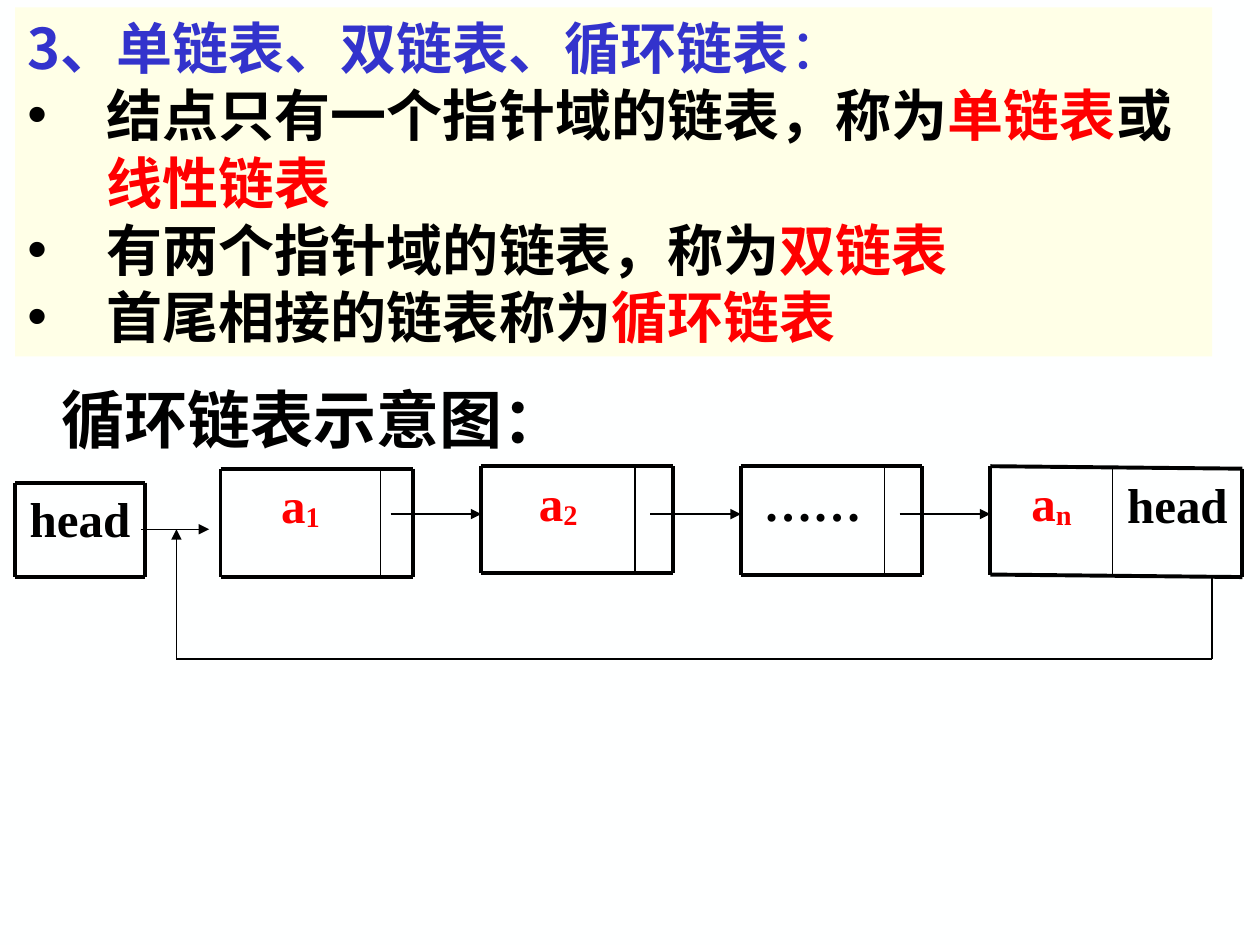
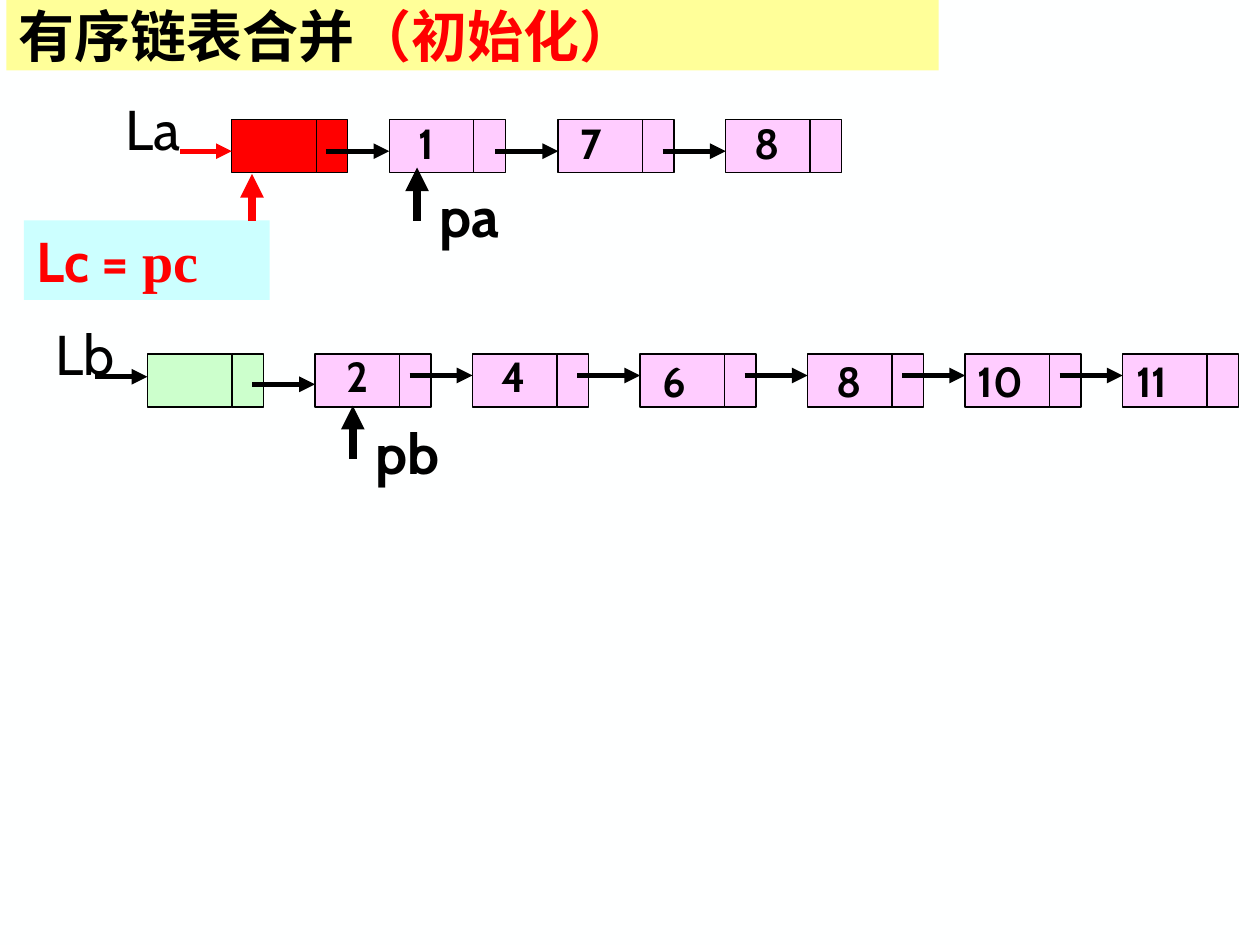
from lxml import etree
from pptx import Presentation
from pptx.dml.color import RGBColor
from pptx.enum.shapes import MSO_CONNECTOR, MSO_SHAPE
from pptx.enum.text import MSO_ANCHOR, PP_ALIGN
from pptx.oxml.ns import qn
from pptx.util import Inches, Pt

RECT, STRAIGHT = MSO_SHAPE.RECTANGLE, MSO_CONNECTOR.STRAIGHT
TOP, MIDDLE = MSO_ANCHOR.TOP, MSO_ANCHOR.MIDDLE
LEFT, CENTER = PP_ALIGN.LEFT, PP_ALIGN.CENTER


class Theme:
    paper, ink, red, blue = "FEFFFF", "000000", "FF0000", "3333CC"
    cream, yellow, cyan = "FFFFE7", "FFFF99", "CCFFFF"
    pink, green = "FFCCFF", "CCFFCC"
    cjk, serif, sans = "Noto Sans CJK SC", "Times New Roman", "Cabin"
    caption, body, cell, number = 36, 32, 28, 24
    hair, thin, frame, arrow, pointer = 0.75, 1, 2.25, 3, 4.5
    leading = 1.2


T = Theme

# A run is (text, colour) or (text, colour, changes).
DEFINITIONS = [
    [("3、单链表、双链表、循环链表", T.blue), ("：", T.blue, {"bold": False})],
    [("结点只有一个指针域的链表，称为", T.ink), ("单链表", T.red),
     ("或", T.ink), ("线性链表", T.red)],
    [("有两个指针域的链表，称为", T.ink), ("双链表", T.red)],
    [("首尾相接的链表称为", T.ink), ("循环链表", T.red)],
]
CAPTION = [("循环链表示意图：", T.ink)]
HEAD = [("head", T.ink)]


def element(index):
    return [("a", T.red), (index, T.red, {"subscript": True})]


# left, divider, right, top, bottom, drop of the right end, text
RING = [
    (0.12, None, 1.15, 3.83, 4.58, 0, HEAD),
    (1.75, 3.02, 3.28, 3.72, 4.58, 0, element("1")),
    (3.82, 5.04, 5.34, 3.70, 4.55, 0, element("2")),
    (5.88, 7.02, 7.32, 3.70, 4.56, 0, [("……", T.ink)]),
    (7.86, 8.83, 9.86, 3.70, 4.56, 0.02, element("n")),
]
LAST_HEAD_BOX = (8.83, 3.72, 1.03, 0.75)
RING_ARROW_Y, RING_ARROW_LENGTH = 4.08, 0.72
HEAD_ARROW = [(1.12, 4.2), (1.66, 4.2)]
RETURN_PATH = [(9.62, 4.58), (9.62, 5.23), (1.4, 5.23), (1.4, 4.2)]

MERGE_TITLE = [("有序链表合并", T.ink), ("（初始化）", T.red, {"font": T.serif})]
RESULT = [("Lc = ", T.red), ("pc", T.red, {"font": T.serif})]
DATA_W, LINK_W, NODE_H, LINK_LENGTH = 0.67, 0.25, 0.42, 0.5
# nodes are (left, number, offset of the number's box, its drop)
LISTS = [
    {"top": 0.95, "fill": T.red, "head": 1.84, "link_y": [1.2] * 3,
     "name": ("La", (0.9, 0.7, 0.65, 0.63)),
     "entry": (1.43, 1.84, 1.2, T.red),
     "nodes": [(3.09, "1", 0.13, -0.07), (4.43, "7", 0.08, -0.07),
               (5.76, "8", 0.13, -0.07)]},
    {"top": 2.81, "fill": T.green, "head": 1.17,
     "link_y": [3.05] + [2.98] * 5,
     "name": ("Lb", (0.34, 2.49, 0.67, 0.63)),
     "entry": (0.75, 1.17, 2.99, T.ink),
     "nodes": [(2.5, "2", 0.15, -0.08), (3.75, "4", 0.13, -0.08),
               (5.08, "6", 0.08, -0.04), (6.41, "8", 0.13, -0.04),
               (7.66, "10", 0, -0.04), (8.91, "11", 0.01, -0.04)]},
]
# name, its box, arrow x, arrow start and end
POINTERS = [
    ("pa", (3.39, 1.39, 0.75, 0.63), 3.31, 1.75, 1.33),
    ("pb", (2.88, 3.27, 0.76, 0.63), 2.8, 3.64, 3.22),
]


def rgb(color):
    return RGBColor.from_string(color)


def new_slide(prs):
    slide = prs.slides.add_slide(prs.slide_layouts[6])
    fill = slide.background.fill
    fill.solid()
    fill.fore_color.rgb = rgb(T.paper)
    return slide


def write(p, runs, size, font, bold):
    for text, color, *rest in runs:
        changes = rest[0] if rest else {}
        r = p.add_run()
        r.text = text
        f = r.font
        f.size, f.bold = Pt(size), changes.get("bold", bold)
        f.name, f.color.rgb = changes.get("font", font), rgb(color)
        rPr = r._r.get_or_add_rPr()
        etree.SubElement(rPr, qn("a:ea")).set("typeface", T.cjk)
        if changes.get("subscript"):
            rPr.set("baseline", "-8000")


def bullet(p, shown):
    """Give the paragraph a hanging indent, with a dot where shown."""
    pPr = p._p.get_or_add_pPr()
    pPr.set("marL", str(Inches(0.63)))
    pPr.set("indent", str(-Inches(0.63)))
    if shown:
        etree.SubElement(pPr, qn("a:buFont")).set("typeface", "Arial")
        etree.SubElement(pPr, qn("a:buChar")).set("char", "•")


def box(slide, at, fill=None, line=None):
    place = [Inches(v) for v in at]
    if fill is None:
        return slide.shapes.add_textbox(*place)
    sp = slide.shapes.add_shape(RECT, *place)
    sp.shadow.inherit = False
    sp.fill.solid()
    sp.fill.fore_color.rgb = rgb(fill)
    if line:
        sp.line.color.rgb = rgb(T.ink)
        sp.line.width = Pt(line)
    else:
        sp.line.fill.background()
    return sp


def text(slide, at, paragraphs, size, font, fill=None, bold=True, wrap=True,
         align=LEFT, anchor=TOP, bullets=False, fixed=False):
    tf = box(slide, at, fill).text_frame
    tf.word_wrap, tf.vertical_anchor = wrap, anchor
    for i, runs in enumerate(paragraphs):
        p = tf.add_paragraph() if i else tf.paragraphs[0]
        p.alignment = align
        if fixed:
            p.line_spacing = Pt(size * T.leading)
        if bullets:
            bullet(p, shown=i > 0)
        write(p, runs, size, font, bold)


def line(slide, start, end, width, color=T.ink, arrow=False):
    ends = [Inches(v) for v in (*start, *end)]
    c = slide.shapes.add_connector(STRAIGHT, *ends)
    c.line.color.rgb = rgb(color)
    c.line.width = Pt(width)
    if arrow:
        tail = etree.SubElement(c.line._get_or_add_ln(), qn("a:tailEnd"))
        tail.set("type", "triangle")
    etree.SubElement(c._element.spPr, qn("a:effectLst"))


def ring_node(slide, left, divider, right, top, bottom, drop, runs):
    text(slide, (left, top, (divider or right) - left, bottom - top), [runs],
         T.cell, T.serif, align=CENTER)
    for y in (top, bottom):
        line(slide, (left, y), (right, y + drop), T.frame)
    for x, shift, width in ((left, 0, T.frame), (divider, drop, T.thin),
                            (right, drop, T.frame)):
        if x:
            line(slide, (x, top + shift), (x, bottom + shift), width)


def circular_list_slide(prs):
    slide = new_slide(prs)
    for node in RING:
        ring_node(slide, *node)
    text(slide, LAST_HEAD_BOX, [HEAD], T.cell, T.serif, align=CENTER)
    line(slide, *HEAD_ARROW, T.hair, arrow=True)
    for left, *_ in RING[2:]:
        line(slide, (left - RING_ARROW_LENGTH, RING_ARROW_Y),
             (left, RING_ARROW_Y), T.hair, arrow=True)
    for start, end in zip(RETURN_PATH, RETURN_PATH[1:]):
        line(slide, start, end, T.hair, arrow=end == RETURN_PATH[-1])
    text(slide, (0.39, 2.97, 6.03, 0.7), [CAPTION], T.caption, T.cjk,
         fixed=True)
    text(slide, (0.12, 0.06, 9.5, 2.77), DEFINITIONS, T.body, T.cjk, T.cream,
         bullets=True, fixed=True)


def merge_node(slide, left, top, fill):
    box(slide, (left, top, DATA_W, NODE_H), fill, T.hair)
    box(slide, (left + DATA_W, top, LINK_W, NODE_H), fill, T.hair)


def linked_list(slide, spec):
    top, nodes = spec["top"], spec["nodes"]
    merge_node(slide, spec["head"], top, spec["fill"])
    for left, *_ in nodes:
        merge_node(slide, left, top, T.pink)
    for (left, number, shift, drop), y in zip(nodes, spec["link_y"]):
        line(slide, (left - LINK_LENGTH, y), (left, y), T.arrow, arrow=True)
        width = 0.2 + 0.21 * len(number)
        text(slide, (left + shift, top + drop, width, 0.5),
             [[(number, T.ink)]], T.number, T.sans, wrap=False)
    start, end, y, color = spec["entry"]
    line(slide, (start, y), (end, y), T.arrow, color, arrow=True)
    name, at = spec["name"]
    text(slide, at, [[(name, T.ink)]], T.body, T.sans, bold=False, wrap=False)


def merge_slide(prs):
    slide = new_slide(prs)
    text(slide, (0.05, 0, 7.4, 0.56), [MERGE_TITLE], T.body, T.cjk, T.yellow,
         anchor=MIDDLE, fixed=True)
    for spec in LISTS:
        linked_list(slide, spec)
    for name, at, x, start, end in POINTERS:
        text(slide, at, [[(name, T.ink)]], T.body, T.sans, wrap=False)
        line(slide, (x, start), (x, end), T.pointer, arrow=True)
    text(slide, (0.19, 1.75, 1.95, 0.63), [RESULT], T.body, T.sans, T.cyan)
    line(slide, (2, 1.75), (2, 1.38), T.pointer, T.red, arrow=True)


def main():
    prs = Presentation()
    prs.slide_width, prs.slide_height = Inches(10), Inches(7.5)
    circular_list_slide(prs)
    merge_slide(prs)
    prs.save("out.pptx")


if __name__ == "__main__":
    main()
